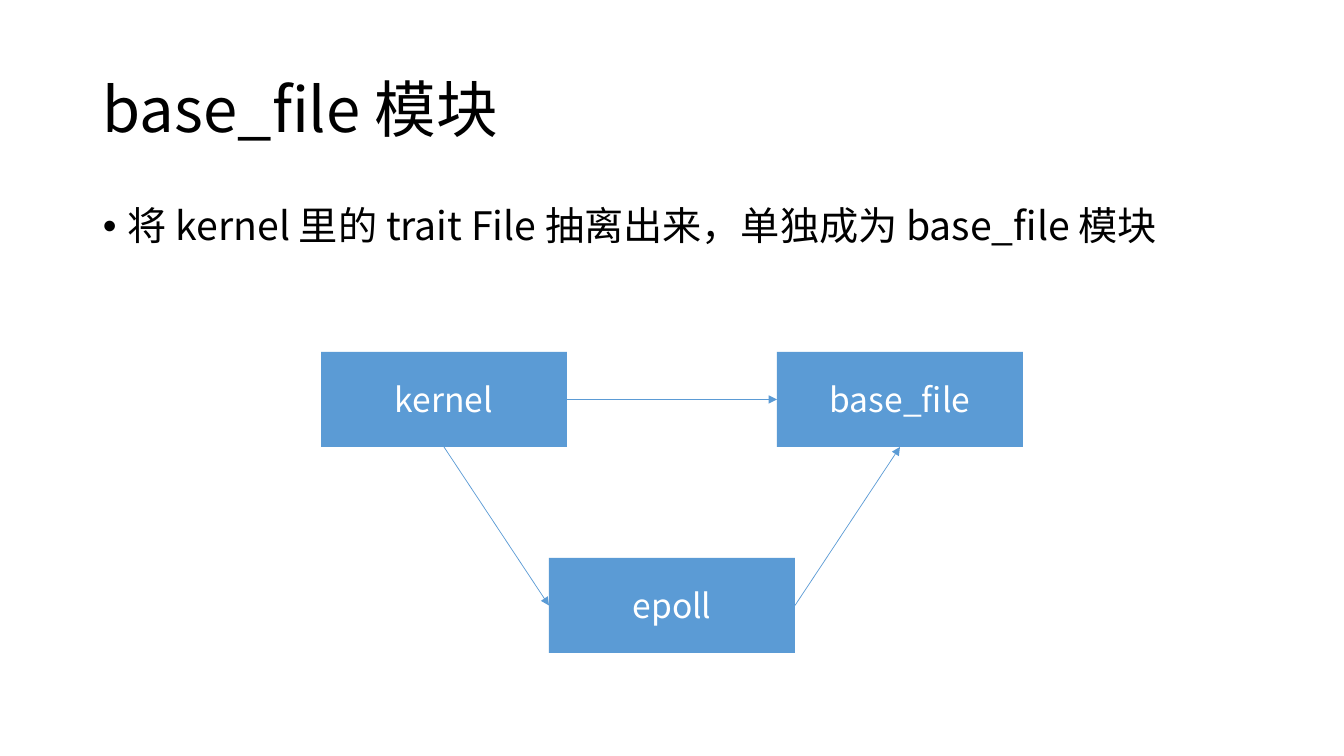
from pptx import Presentation
from pptx.dml.color import RGBColor
from pptx.enum.shapes import MSO_CONNECTOR as CONN, MSO_SHAPE as SHAPE
from pptx.enum.text import MSO_ANCHOR as ANCHOR, PP_ALIGN as ALIGN
from pptx.oxml.ns import qn
from pptx.util import Emu, Pt
from lxml.etree import SubElement

SLIDE_W, SLIDE_H = 1344, 756
SCALE = 12192000 / SLIDE_W
FONT = "Noto Sans CJK SC"
COLORS = {"text": "000000", "box": "5B9BD5", "box_text": "FFFFFF"}
BOX_W, BOX_H = 246, 95
TOP, LEFT, BOTTOM, RIGHT = range(4)  # connection sites of a rectangle


def px(n):
    return Emu(round(n * SCALE))


def color(name):
    return RGBColor.from_string(COLORS[name])


def write(sp, text, size, color_name, anchor):
    """Set the text of a shape and return its paragraph."""
    tf = sp.text_frame
    tf.word_wrap = True
    tf.vertical_anchor = anchor
    p = tf.paragraphs[0]
    p.text = text
    r = p.runs[0]
    r.font.size = Pt(size)
    r.font.name = FONT
    r.font.color.rgb = color(color_name)
    SubElement(r.font._element, qn("a:ea"), typeface=FONT)
    return p


def add_text(s, top, height, text, size, anchor):
    sp = s.shapes.add_textbox(px(93), px(top), px(1159), px(height))
    p = write(sp, text, size, "text", anchor)
    p.line_spacing = 0.9
    return p


def add_bullet(p, indent):
    p.space_before = Pt(10)
    pPr = p._p.get_or_add_pPr()
    pPr.set("marL", str(px(indent)))
    pPr.set("indent", str(-px(indent)))
    SubElement(pPr, qn("a:buFont"), typeface="Arial")
    SubElement(pPr, qn("a:buChar"), char="•")


def add_box(s, left, top, text):
    sp = s.shapes.add_shape(SHAPE.RECTANGLE, px(left), px(top), px(BOX_W), px(BOX_H))
    sp.shadow.inherit = False
    sp.fill.solid()
    sp.fill.fore_color.rgb = color("box")
    sp.line.fill.background()
    write(sp, text, 24, "box_text", ANCHOR.MIDDLE).alignment = ALIGN.CENTER
    return sp


def add_arrow(s, start, start_site, end, end_site):
    arrow = s.shapes.add_connector(CONN.STRAIGHT, 0, 0, 0, 0)
    arrow.begin_connect(start, start_site)
    arrow.end_connect(end, end_site)
    arrow.line.color.rgb = color("box")
    arrow.line.width = Pt(0.5)
    SubElement(arrow.line._get_or_add_ln(), qn("a:tailEnd"), type="triangle")
    SubElement(arrow._element.spPr, qn("a:effectLst"))


def main():
    prs = Presentation()
    prs.slide_width, prs.slide_height = px(SLIDE_W), px(SLIDE_H)
    s = prs.slides.add_slide(prs.slide_layouts[6])

    # Title and statement
    add_text(s, 40, 146, "base_file 模块", 44, ANCHOR.MIDDLE)
    p = add_text(s, 202, 480, "将 kernel 里的 trait File 抽离出来，单独成为 base_file 模块",
                 28, ANCHOR.TOP)
    add_bullet(p, 25)

    # Modules, with epoll centred below the other two
    left, right, top = 321, 777, 352
    kernel = add_box(s, left, top, "kernel")
    base_file = add_box(s, right, top, "base_file")
    epoll = add_box(s, (left + right) // 2, top + 206, "epoll")

    # Dependencies
    add_arrow(s, kernel, RIGHT, base_file, LEFT)
    add_arrow(s, kernel, BOTTOM, epoll, LEFT)
    add_arrow(s, epoll, RIGHT, base_file, BOTTOM)

    prs.save("out.pptx")


main()
